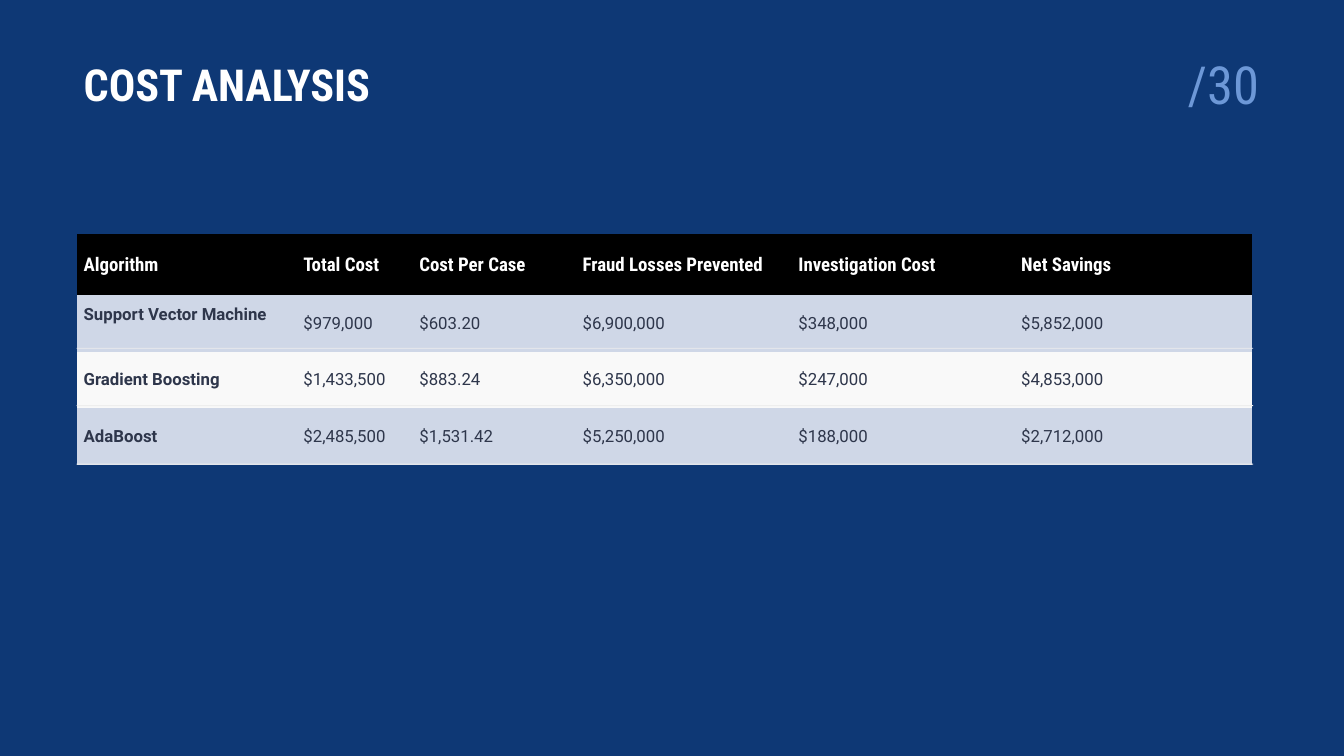
from dataclasses import dataclass

from pptx import Presentation
from pptx.dml.color import RGBColor
from pptx.enum.shapes import MSO_SHAPE as Shape
from pptx.enum.text import MSO_ANCHOR as Anchor, MSO_AUTO_SIZE as AutoSize, PP_ALIGN as Align
from pptx.oxml.ns import qn
from pptx.slide import Slide
from pptx.table import _Cell as Cell
from pptx.text.text import TextFrame
from pptx.util import Emu, Pt

PX = 9144  # 100 px to the inch
COLORS = {
    "page": "0E3875", "white": "FFFFFF", "number": "6D98D7", "header": "000000",
    "ink": "2E364B", "band": "CFD7E7", "plain": "F9F9F9", "rule": "EEEEEE",
}
NO_STYLE_NO_GRID = "{2D5ABB26-0587-4C30-8999-92F81FD0307C}"

TABLE_LEFT, TABLE_TOP = 76, 232
COLUMN_WIDTHS = (218, 115, 162, 214, 221, 236)
ROW_HEIGHTS = (61, 56, 56, 56)
ROWS = (
    ("Algorithm", "Total Cost", "Cost Per Case", "Fraud Losses Prevented",
     "Investigation Cost", "Net Savings"),
    ("Support Vector Machine", "$979,000", "$603.20", "$6,900,000", "$348,000", "$5,852,000"),
    ("Gradient Boosting", "$1,433,500", "$883.24", "$6,350,000", "$247,000", "$4,853,000"),
    ("AdaBoost", "$2,485,500", "$1,531.42", "$5,250,000", "$188,000", "$2,712,000"),
)
ROW_FILLS = ("header", "band", "plain", "band")
RULE_TOPS = (345, 402, 460)
RULE_EDGES = (76, 344, 749, 1243)


@dataclass(frozen=True)
class TextStyle:
    font: str
    size: float
    color: str
    bold: bool = False


TITLE = TextStyle("Roboto Condensed", 31.5, "white", True)
NUMBER = TextStyle("Roboto Condensed", 37.5, "number")
HEADER = TextStyle("Roboto Condensed", 13.5, "white", True)
NAME = TextStyle("Roboto", 12, "ink", True)
VALUE = TextStyle("Roboto", 12, "ink")


def px(length: int) -> Emu:
    return Emu(length * PX)


def color(name: str) -> RGBColor:
    return RGBColor.from_string(COLORS[name])


def write(frame: TextFrame, text: str, style: TextStyle) -> None:
    para = frame.paragraphs[0]
    para.alignment = Align.LEFT
    span = para.add_run()
    span.text = text
    span.font.name = style.font
    span.font.size = Pt(style.size)
    span.font.bold = style.bold
    span.font.color.rgb = color(style.color)


def format_heading(box, left: int, top: int, width: int, height: int,
                   text: str, style: TextStyle) -> None:
    box.left, box.top, box.width, box.height = map(px, (left, top, width, height))
    frame = box.text_frame
    frame.margin_left = frame.margin_top = frame.margin_right = frame.margin_bottom = 0
    frame.vertical_anchor = Anchor.TOP
    frame.auto_size = AutoSize.NONE
    frame.word_wrap = True
    write(frame, text, style)


def fill_cell(cell: Cell, text: str, style: TextStyle, fill: str, bottom: int) -> None:
    cell.fill.solid()
    cell.fill.fore_color.rgb = color(fill)
    cell.vertical_anchor = Anchor.MIDDLE
    cell.margin_left = cell.margin_right = px(7)
    cell.margin_top, cell.margin_bottom = px(3), px(bottom)
    write(cell.text_frame, text, style)


def add_cost_table(page: Slide) -> None:
    frame = page.shapes.add_table(
        len(ROWS), len(COLUMN_WIDTHS), px(TABLE_LEFT), px(TABLE_TOP),
        px(sum(COLUMN_WIDTHS)), px(sum(ROW_HEIGHTS)))
    table = frame.table
    table.first_row = table.horz_banding = False
    next(frame.element.iter(qn("a:tableStyleId"))).text = NO_STYLE_NO_GRID
    for column, width in zip(table.columns, COLUMN_WIDTHS):
        column.width = px(width)
    for r, (texts, height, fill) in enumerate(zip(ROWS, ROW_HEIGHTS, ROW_FILLS)):
        table.rows[r].height = px(height)
        for c, text in enumerate(texts):
            style = HEADER if r == 0 else NAME if c == 0 else VALUE
            # The first algorithm name sits above the middle of its row
            bottom = 21 if (r, c) == (1, 0) else 3
            fill_cell(table.cell(r, c), text, style, fill, bottom)


def add_rule(page: Slide, left: int, top: int, right: int) -> None:
    rule = page.shapes.add_shape(Shape.RECTANGLE, px(left), px(top), px(right - left), px(1))
    rule.shadow.inherit = False
    rule.fill.solid()
    rule.fill.fore_color.rgb = color("rule")
    rule.line.fill.background()


def main() -> None:
    deck = Presentation()
    deck.slide_width, deck.slide_height = px(1333), px(750)
    page = deck.slides.add_slide(deck.slide_layouts[5])
    page.background.fill.solid()
    page.background.fill.fore_color.rgb = color("page")

    # Title and page number
    format_heading(page.shapes.title, 83, 57, 311, 53, "COST ANALYSIS", TITLE)
    number = page.shapes.add_textbox(0, 0, 0, 0)
    format_heading(number, 1178, 52, 72, 63, "/30", NUMBER)

    # Cost table
    add_cost_table(page)

    # Thin rules under the body rows
    for top in RULE_TOPS:
        for left, right in zip(RULE_EDGES, RULE_EDGES[1:]):
            add_rule(page, left, top, right)

    deck.save("out.pptx")


if __name__ == "__main__":
    main()
